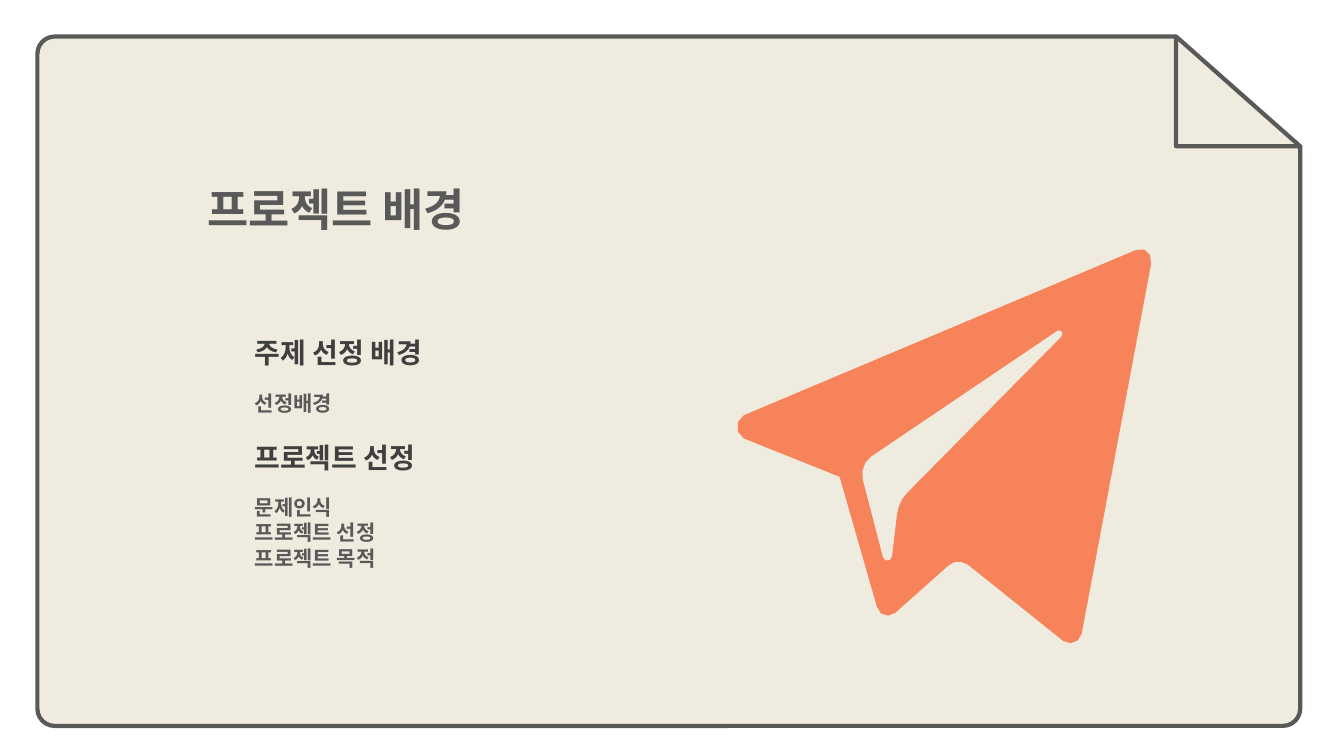
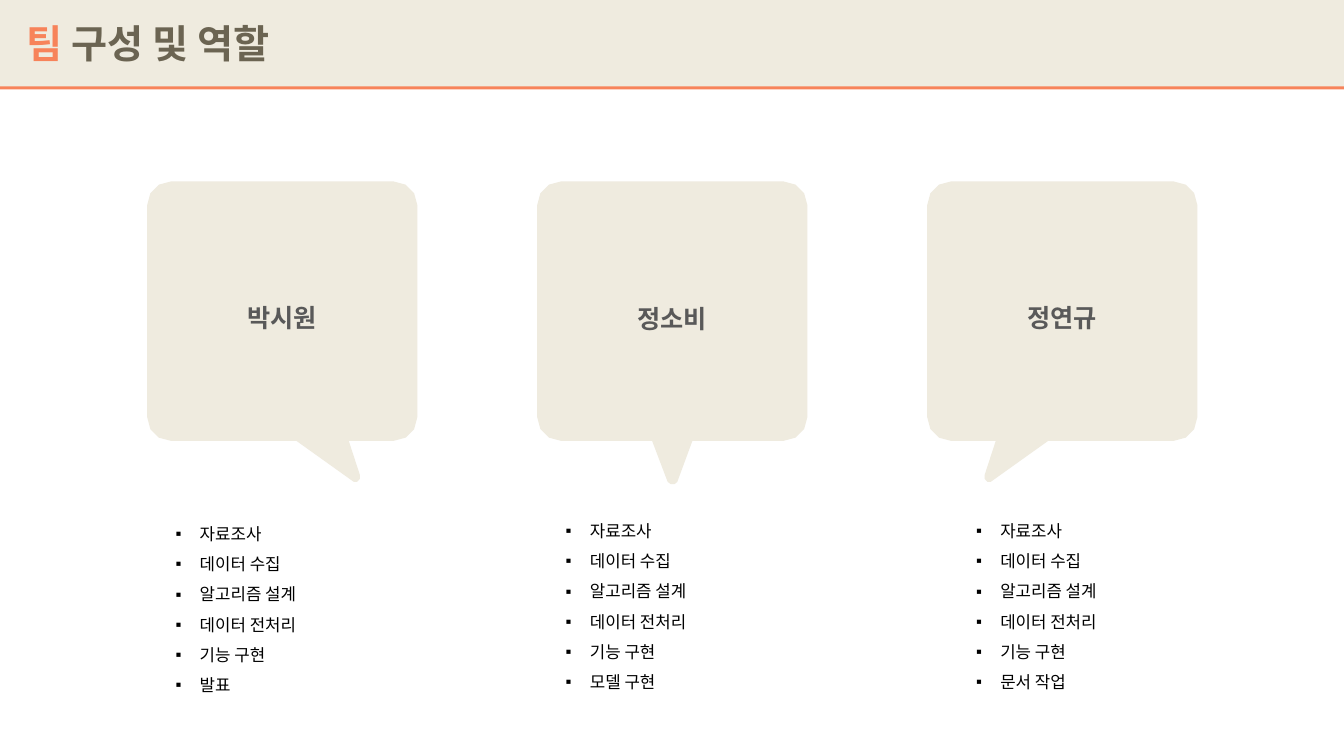
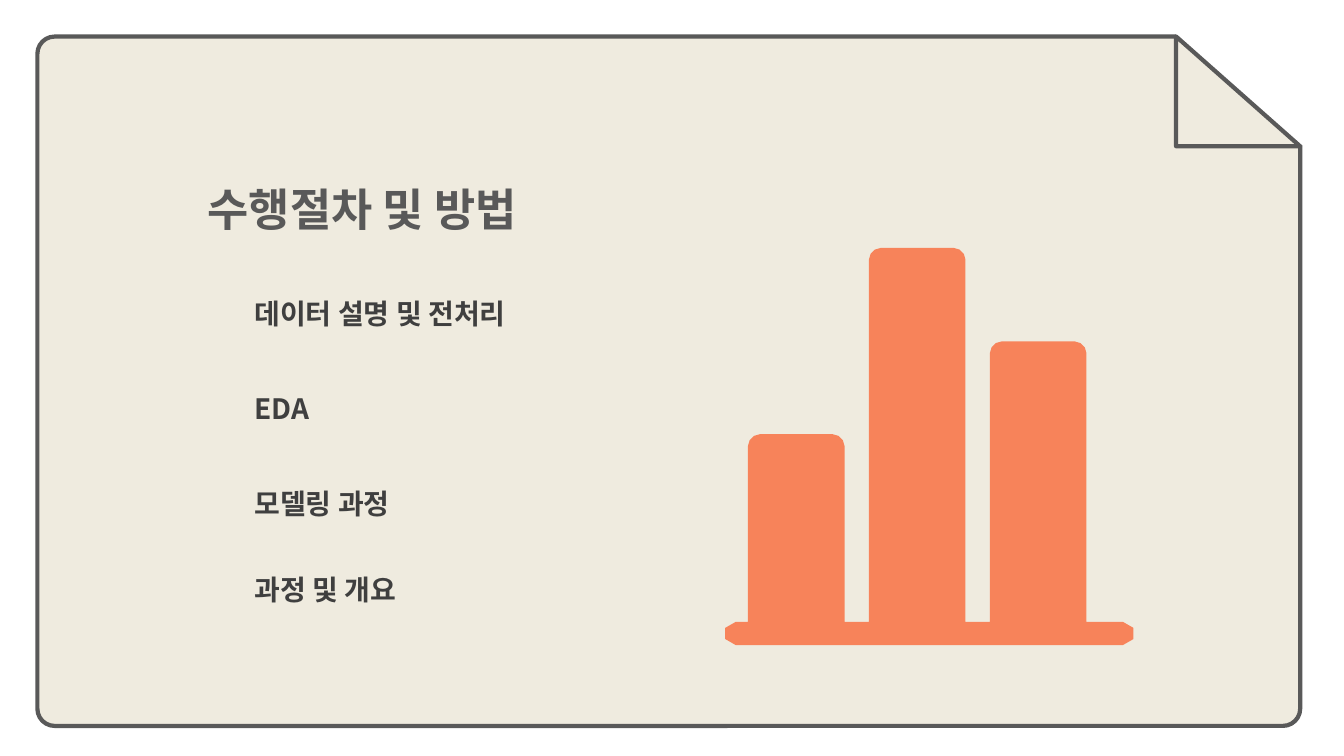
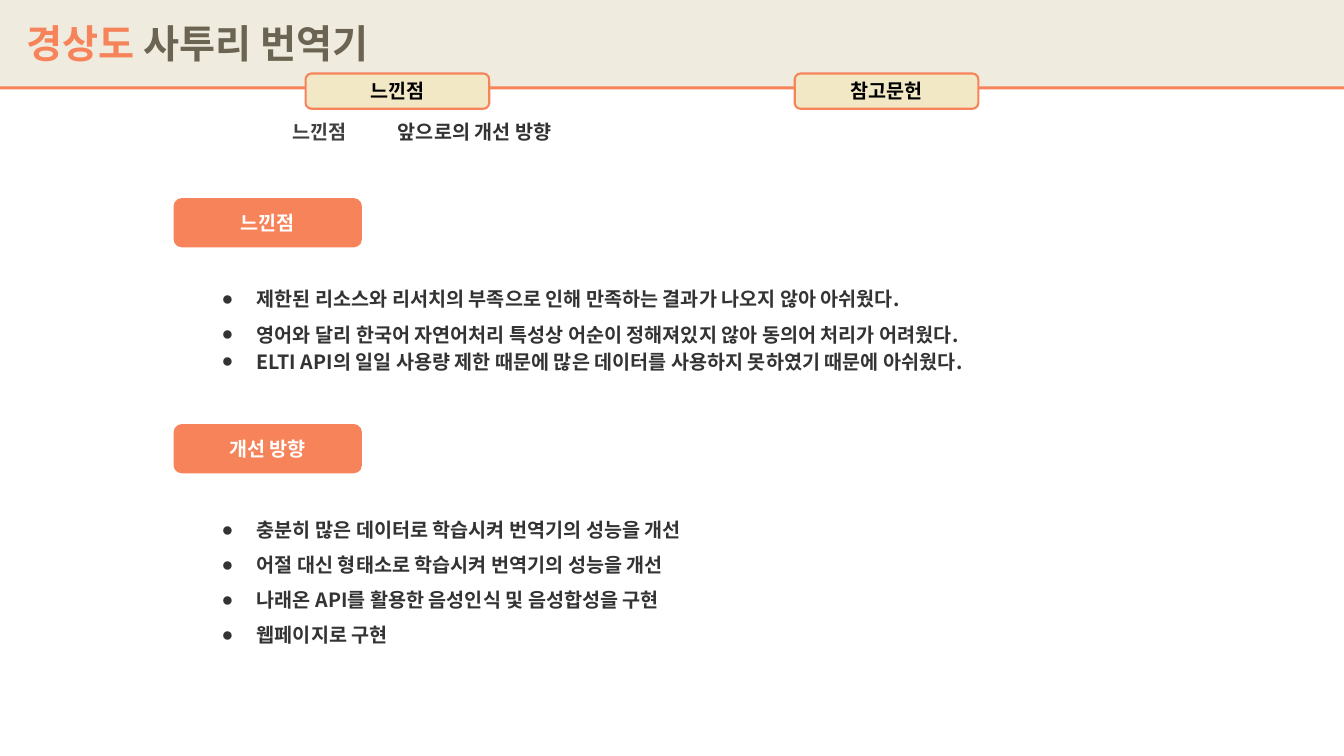
"""Build four slides on a dialect translator project."""
import pptx
import pptx.dml.color
import pptx.enum.shapes
import pptx.enum.text
import pptx.oxml.ns
import pptx.util
from lxml import etree

Pt = pptx.util.Pt
RGB = pptx.dml.color.RGBColor
SHAPE = pptx.enum.shapes.MSO_SHAPE
ALIGN = pptx.enum.text.PP_ALIGN
ANCHOR = pptx.enum.text.MSO_ANCHOR
qn = pptx.oxml.ns.qn

CREAM = RGB(0xEF, 0xEB, 0xDF)
CORAL = RGB(0xF7, 0x83, 0x5A)
SAND = RGB(0xF3, 0xE8, 0xC6)
GRAY = RGB(0x59, 0x59, 0x59)
DARK = RGB(0x3F, 0x3F, 0x3F)
INK = RGB(0x33, 0x33, 0x33)
BROWN = RGB(0x6B, 0x64, 0x52)
BLACK = RGB(0, 0, 0)
WHITE = RGB(0xFF, 0xFF, 0xFF)

SANS = "Noto Sans CJK KR"
ARIAL = "Arial"
THIN = (7.2, 3.6, 7.2, 3.6)
WIDE = (7.2, 7.2, 7.2, 7.2)
TIGHT = (5, 2.9, 5, 2.9)


def paint(shape, fill, line=None, width=0):
    """Set the fill and outline and drop the shadow."""
    shape.shadow.inherit = False
    shape.fill.solid()
    shape.fill.fore_color.rgb = fill
    if line is None:
        shape.line.fill.background()
    else:
        shape.line.color.rgb = line
        shape.line.width = Pt(width)
    return shape


def block(slide, kind, box, fill, line=None, width=0, adj=None):
    """Add a painted preset shape."""
    shape = slide.shapes.add_shape(kind, *map(Pt, box))
    if adj is not None:
        shape.adjustments[0] = adj
    return paint(shape, fill, line, width)


def curve(start, step):
    """Return points along a cubic curve."""
    knots = [start, step[:2], step[2:4], step[4:]]
    points = []
    for i in range(1, 4):
        t = i / 3
        mix = ((1 - t) ** 3, 3 * t * (1 - t) ** 2, 3 * t * t * (1 - t), t ** 3)
        points.append(tuple(sum(m * k[a] for m, k in zip(mix, knots)) for a in (0, 1)))
    return points


def trace(steps):
    """Turn line and curve steps into points."""
    points = [steps[0]]
    for step in steps[1:]:
        points += curve(points[-1], step) if len(step) == 6 else [step]
    return [(Pt(x), Pt(y)) for x, y in points]


def outline(slide, paths, fill):
    """Add a freeform made of closed paths."""
    pen = None
    for points in map(trace, paths):
        if pen is None:
            pen = slide.shapes.build_freeform(*points[0])
        else:
            pen.move_to(*points[0])
        pen.add_line_segments(points[1:], close=True)
    return paint(pen.convert_to_shape(), fill)


def words(frame, paras, size, bold=True, font=SANS, pad=THIN, align=ALIGN.LEFT,
          anchor=ANCHOR.TOP):
    """Write paragraphs of (text, colour) runs."""
    frame.word_wrap = True
    frame.vertical_anchor = anchor
    frame.margin_left, frame.margin_top, frame.margin_right, frame.margin_bottom = map(Pt, pad)
    for i, runs in enumerate(paras):
        para = frame.add_paragraph() if i else frame.paragraphs[0]
        para.alignment = align
        for text, color in runs:
            run = para.add_run()
            run.text = text
            run.font.size = Pt(size)
            run.font.bold = bold
            run.font.name = font
            run.font.color.rgb = color
            etree.SubElement(run.font._element, qn("a:ea")).set("typeface", SANS)


def label(slide, box, paras, size, **style):
    """Add a text box."""
    frame = slide.shapes.add_textbox(*map(Pt, box)).text_frame
    words(frame, paras, size, **style)
    return frame


def bullets(frame, mark, color, left, hang):
    """Give each paragraph a bullet and loose lines."""
    for para in frame.paragraphs:
        para.line_spacing = 1.5
        props = para._p.get_or_add_pPr()
        props.set("marL", str(Pt(left)))
        props.set("indent", str(-Pt(hang)))
        tint = etree.SubElement(props, qn("a:buClr"))
        etree.SubElement(tint, qn("a:srgbClr")).set("val", str(color))
        etree.SubElement(props, qn("a:buFont")).set("typeface", ARIAL)
        etree.SubElement(props, qn("a:buChar")).set("char", mark)


def paper(slide, title, wide):
    """Draw the folded sheet with its title."""
    block(slide, SHAPE.ROUNDED_RECTANGLE, (26.7, 26.1, 902, 492.4), CREAM, GRAY, 3, 0.025)
    block(slide, SHAPE.RECTANGLE, (840.2, 21.6, 92.9, 82.1), WHITE)
    block(slide, SHAPE.RIGHT_TRIANGLE, (840.1, 26.1, 88.6, 78.4), CREAM, GRAY, 3)
    label(slide, (141.2, 126, wide, 46), [[(title, GRAY)]], 32)


def topic(slide, top, text):
    """Add a topic heading on the sheet."""
    label(slide, (174.6, top, 270, 31.7), [[(text, DARK)]], 20)


def notes(slide, top, high, lines):
    """Add small lines under a topic."""
    label(slide, (174.9, top, 270, high), [[(t, GRAY)] for t in lines], 15)


def band(slide, lead, rest, font=SANS):
    """Draw the top band with a two-colour title."""
    bar = block(slide, SHAPE.RECTANGLE, (0, 0, 960, 61.8), CREAM)
    effects = bar._element.spPr.find(qn("a:effectLst"))
    drop = etree.SubElement(effects, qn("a:outerShdw"), blurRad="0", dist=str(Pt(2)),
                            dir="5400000", algn="t", rotWithShape="0")
    etree.SubElement(drop, qn("a:srgbClr")).set("val", str(CORAL))
    label(slide, (12.2, 10.1, 567, 41), [[(lead + " ", CORAL), (rest, BROWN)]], 28, font=font)


def plane(slide):
    """Draw the paper plane."""
    body = [(531.4, 313.2), (599.8, 340.6), (626.4, 433.4),
            (627.8, 440, 635, 441.4, 639.4, 437.8), (677.5, 403.9),
            (681.1, 400.3, 686.9, 400.3, 691.2, 403.2), (759.6, 457.9),
            (764.6, 461.5, 771.1, 458.6, 772.6, 452.9), (822.2, 188.6),
            (823.7, 181.4, 817.9, 175.7, 811.4, 178.6), (531.4, 296.6),
            (524.9, 299.5, 524.9, 310.3, 531.4, 313.2)]
    fold = [(622.1, 326.2), (755.3, 236.2),
            (758.2, 234.7, 760.3, 238.3, 758.2, 240.5), (648, 352.1),
            (644.4, 355.7, 641.5, 361.4, 640.8, 367.2), (637.2, 397.4),
            (637.2, 401, 631.4, 401.8, 630.7, 398.2), (616.3, 342.7),
            (614.9, 336.2, 617, 329.8, 622.1, 326.2)]
    outline(slide, [body, fold], CORAL)


def bars(slide):
    """Draw the bar chart icon."""
    base, foot, wide, bend = 444.2, 460.8, 69, 8.4
    path = [(525.6, base)]
    for i, top in enumerate((310.2, 177.1, 243.9)):
        left = 534.3 + 86.4 * i
        right = left + wide
        path += [(left, base), (left, top + bend),
                 (left, top + 4, left + 4, top, left + bend, top), (right - bend, top),
                 (right - 4, top, right, top + 4, right, top + bend), (right, base)]
    path += [(802.1, base), (813.4, base, 813.4, foot, 802.1, foot), (525.6, foot),
             (514.3, foot, 514.3, base, 525.6, base)]
    outline(slide, [path], CORAL)


def bubble(slide, left, tail, name, flip=False):
    """Draw a speech bubble with a name."""
    wide, high, bend = 193, 185.3, 17
    path = [(bend, 0), (wide - bend, 0), (wide - 7.5, 0, wide, 7.5, wide, bend),
            (wide, high - bend), (wide, high - 7.5, wide - 7.5, high, wide - bend, high),
            *tail, (bend, high), (7.5, high, 0, high - 7.5, 0, high - bend),
            (0, bend), (0, 7.5, 7.5, 0, bend, 0)]
    place = []
    for step in path:
        spots = []
        for x, y in zip(step[::2], step[1::2]):
            spots += [left + (wide - x if flip else x), 129.6 + y]
        place.append(tuple(spots))
    shape = outline(slide, [place], CREAM)
    words(shape.text_frame, [[(name, GRAY)]], 18, pad=(5, 2.9, 5, 23),
          align=ALIGN.CENTER, anchor=ANCHOR.MIDDLE)


def tasks(slide, left, top, last):
    """List the shared tasks and one more."""
    items = ["자료조사", "데이터 수집", "알고리즘 설계", "데이터 전처리", "기능 구현", last]
    frame = label(slide, (left, top, 223, 129), [[(t, BLACK)] for t in items], 12,
                  bold=False, pad=TIGHT)
    bullets(frame, "▪", BLACK, 17.3, 17.7)


def badge(slide, box, text, fill, color, line=None, font=SANS):
    """Add a rounded box with centred text."""
    shape = block(slide, SHAPE.ROUNDED_RECTANGLE, box, fill, line, 1.5, 0.167)
    words(shape.text_frame, [[(text, color)]], 14, font=font, pad=WIDE,
          align=ALIGN.CENTER, anchor=ANCHOR.MIDDLE)


def points(slide, box, lines):
    """Add a bulleted list of remarks."""
    frame = label(slide, box, [[(t, INK)] for t in lines], 14, pad=WIDE)
    bullets(frame, "●", INK, 36, 25.2)
    return frame


def goals(slide):
    """Build the background slide."""
    paper(slide, "프로젝트 배경", 226)
    topic(slide, 236.2, "주제 선정 배경")
    notes(slide, 275.3, 31.7, ["선정배경"])
    topic(slide, 311, "프로젝트 선정")
    notes(slide, 349.8, 58.3, ["문제인식", "프로젝트 선정", "프로젝트 목적"])
    plane(slide)


def team(slide):
    """Build the team slide."""
    band(slide, "팀", "구성 및 역할", ARIAL)
    side = [(144, 185.3), (151.9, 209.5), (153.4, 212.4, 149.8, 216, 147.6, 214.6),
            (106.6, 185.3)]
    mid = [(110.9, 185.3), (100.1, 214.6), (99, 217, 94.6, 217, 93.2, 214.6),
           (82.1, 185.3)]
    crew = [("박시원", side, False, 120.4, 364, "발표"),
            ("정소비", mid, False, 399.1, 361.8, "모델 구현"),
            ("정연규", side, True, 692.2, 361.8, "문서 작업")]
    for i, (name, tail, flip, left, top, last) in enumerate(crew):
        bubble(slide, 105.1 + 278.6 * i, tail, name, flip)
        tasks(slide, left, top, last)


def method(slide):
    """Build the method slide."""
    paper(slide, "수행절차 및 방법", 270)
    for top, text in ((208.1, "데이터 설명 및 전처리"), (275.8, "EDA"),
                      (343.8, "모델링 과정"), (405.5, "과정 및 개요")):
        topic(slide, top, text)
    bars(slide)


def review(slide):
    """Build the review slide."""
    band(slide, "경상도", "사투리 번역기")
    for left, text in ((218.3, "느낀점"), (567.7, "참고문헌")):
        badge(slide, (left, 52.5, 131.2, 25.2), text, SAND, BLACK, CORAL, ARIAL)
    label(slide, (190.6, 78.5, 221.8, 31.7),
          [[("느낀점\t ", DARK), ("앞으로의 개선 방향", INK)]], 14, pad=WIDE,
          align=ALIGN.CENTER)
    for top, text in ((141.5, "느낀점"), (302.9, "개선 방향")):
        badge(slide, (124, top, 134.6, 35.2), text, CORAL, WHITE)
    frame = points(slide, (140.4, 189.5, 612, 82), [
        "제한된 리소스와 리서치의 부족으로 인해 만족하는 결과가 나오지 않아 아쉬웠다.",
        "영어와 달리 한국어 자연어처리 특성상 어순이 정해져있지 않아 동의어 처리가 어려웠다.",
        "ELTI API의 일일 사용량 제한 때문에 많은 데이터를 사용하지 못하였기 때문에 아쉬웠다."])
    frame.paragraphs[-1].line_spacing = 1.15
    points(slide, (140.4, 354.1, 674.6, 108), [
        "충분히 많은 데이터로 학습시켜 번역기의 성능을 개선",
        "어절 대신 형태소로 학습시켜 번역기의 성능을 개선",
        "나래온 API를 활용한 음성인식 및 음성합성을 구현",
        "웹페이지로 구현"])


def main():
    """Build and save the deck."""
    deck = pptx.Presentation()
    deck.slide_width, deck.slide_height = Pt(960), Pt(540)
    for build in (goals, team, method, review):
        build(deck.slides.add_slide(deck.slide_layouts[6]))
    deck.save("out.pptx")


if __name__ == "__main__":
    main()
